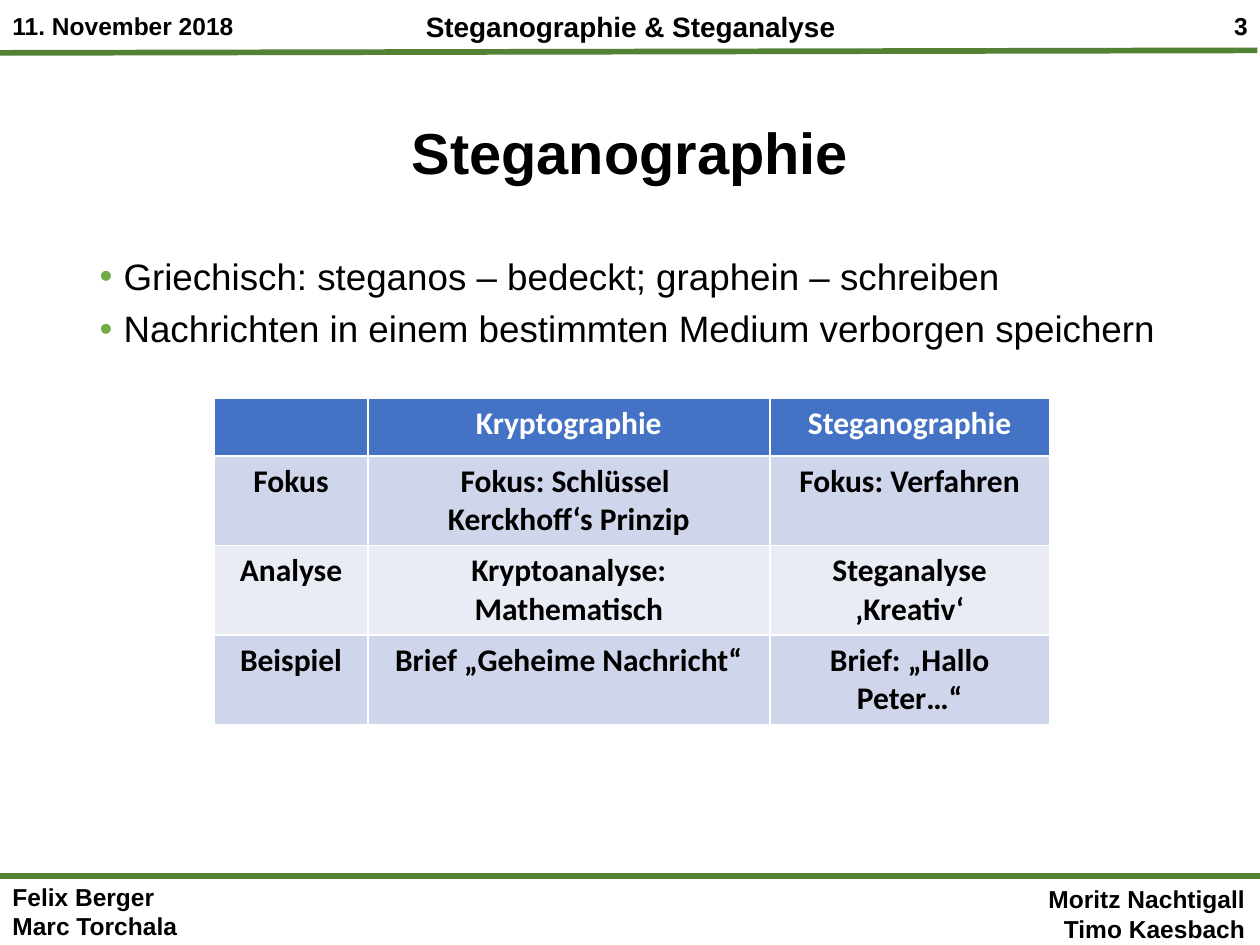
from lxml import etree
from pptx import Presentation
from pptx.dml.color import RGBColor
from pptx.enum.shapes import MSO_CONNECTOR
from pptx.enum.text import MSO_ANCHOR, MSO_AUTO_SIZE, PP_ALIGN
from pptx.oxml.ns import qn
from pptx.util import Inches, Pt

LEFT, CENTER, RIGHT = PP_ALIGN.LEFT, PP_ALIGN.CENTER, PP_ALIGN.RIGHT
MIDDLE, TOP = MSO_ANCHOR.MIDDLE, MSO_ANCHOR.TOP
NO_FIT, GROW = MSO_AUTO_SIZE.NONE, MSO_AUTO_SIZE.SHAPE_TO_FIT_TEXT
STRAIGHT = MSO_CONNECTOR.STRAIGHT

BLACK, WHITE = "000000", "FFFFFF"
RULE_GREEN, BULLET_GREEN = "548235", "70AD47"
HEADER_BLUE, BANDS = "4472C4", ("CFD5EA", "E9EBF5")

BULLETS = [
    "Griechisch: steganos – bedeckt; graphein – schreiben",
    "Nachrichten in einem bestimmten Medium verborgen speichern",
]
COMPARISON = [
    ["", "Kryptographie", "Steganographie"],
    ["Fokus", "Fokus: Schlüssel \nKerckhoff‘s Prinzip", "Fokus: Verfahren"],
    ["Analyse", "Kryptoanalyse: Mathematisch", "Steganalyse ‚Kreativ‘"],
    ["Beispiel", "Brief „Geheime Nachricht“", "Brief: „Hallo Peter…“"],
]
COLUMN_WIDTHS = (1.22, 3.19, 2.22)
ROW_HEIGHTS = (0.46, 0.71, 0.71, 0.71)


def color(value):
    return RGBColor.from_string(value)


def place(shape, box):
    shape.left, shape.top, shape.width, shape.height = map(Inches, box)


def write_lines(frame, lines, size, align, bold=True, font="Arial", ink=BLACK):
    for index, line in enumerate(lines):
        para = frame.add_paragraph() if index else frame.paragraphs[0]
        para.alignment = align
        span = para.add_run()
        span.text = line
        span.font.name = font
        span.font.size = Pt(size)
        span.font.bold = bold
        span.font.color.rgb = color(ink)


def add_label(page, box, lines, size=14, align=LEFT):
    label = page.shapes.add_textbox(*map(Inches, box))
    frame = label.text_frame
    frame.word_wrap = True
    frame.auto_size = GROW
    write_lines(frame, lines, size, align)


def add_rule(page, start, end):
    rule = page.shapes.add_connector(STRAIGHT, *map(Inches, start + end))
    rule.line.color.rgb = color(RULE_GREEN)
    rule.line.width = Pt(3.25)
    etree.SubElement(rule._element.spPr, qn("a:effectLst"))


def add_header(page, box):
    left, top, width, height = box
    add_label(page, (2.35, top + 0.03, 5.31, 0.37),
              ["Steganographie & Steganalyse"], 16, CENTER)
    add_label(page, (left + width - 0.62, top + 0.04, 0.62, 0.34), ["3"], align=RIGHT)
    add_label(page, (left, top + 0.04, 2.59, 0.34), ["11. November 2018"])
    add_rule(page, (left - 0.02, top + height), (left + width - 0.02, top + height - 0.02))


def add_footer(page, box):
    left, top, width, height = box
    add_rule(page, (left, top), (left + width, top))
    add_label(page, (left, top, 3.02, height), ["Felix Berger", "Marc Torchala"])
    add_label(page, (left + width - 1.82, top + 0.02, 1.8, height),
              ["Moritz Nachtigall", "Timo Kaesbach"], align=RIGHT)


def fill_title(page, box):
    title = page.shapes.title
    place(title, box)
    frame = title.text_frame
    frame.auto_size = NO_FIT
    frame.vertical_anchor = MIDDLE
    write_lines(frame, ["Steganographie"], 33, CENTER)
    frame.paragraphs[0].line_spacing = 0.9


def set_bullet(para):
    props = para._p.get_or_add_pPr()
    props.set("marL", str(Inches(0.19)))
    props.set("indent", str(Inches(-0.19)))
    bullet_color = etree.SubElement(props, qn("a:buClr"))
    etree.SubElement(bullet_color, qn("a:srgbClr"), val=BULLET_GREEN)
    etree.SubElement(props, qn("a:buFont"), typeface="Arial")
    etree.SubElement(props, qn("a:buChar"), char="•")


def fill_body(page, box):
    body = page.placeholders[1]
    place(body, box)
    frame = body.text_frame
    frame.auto_size = NO_FIT
    frame.vertical_anchor = TOP
    write_lines(frame, BULLETS, 21, LEFT, bold=False)
    for para in frame.paragraphs:
        para.line_spacing = 0.9
        para.space_before = Pt(7.5)
        set_bullet(para)


def add_comparison(page, box):
    table = page.shapes.add_table(
        len(COMPARISON), len(COLUMN_WIDTHS), *map(Inches, box)).table
    for column, width in zip(table.columns, COLUMN_WIDTHS):
        column.width = Inches(width)
    for index, (row, height) in enumerate(zip(table.rows, ROW_HEIGHTS)):
        row.height = Inches(height)
        fill = BANDS[(index - 1) % 2] if index else HEADER_BLUE
        ink = BLACK if index else WHITE
        for cell, text in zip(row.cells, COMPARISON[index]):
            cell.fill.solid()
            cell.fill.fore_color.rgb = color(fill)
            if text:
                write_lines(cell.text_frame, text.split("\n"), 18, CENTER,
                            font="Calibri", ink=ink)


def main():
    deck = Presentation()
    deck.slide_width, deck.slide_height = Inches(10), Inches(7.5)
    page = deck.slides.add_slide(deck.slide_layouts[1])
    add_header(page, (0, 0, 10, 0.42))
    add_footer(page, (0, 6.95, 10, 0.57))
    fill_title(page, (0.69, 0.51, 8.62, 1.45))
    fill_body(page, (0.69, 2, 8.62, 4.76))
    add_comparison(page, (1.7, 3.16, sum(COLUMN_WIDTHS), sum(ROW_HEIGHTS)))
    deck.save("out.pptx")


if __name__ == "__main__":
    main()
